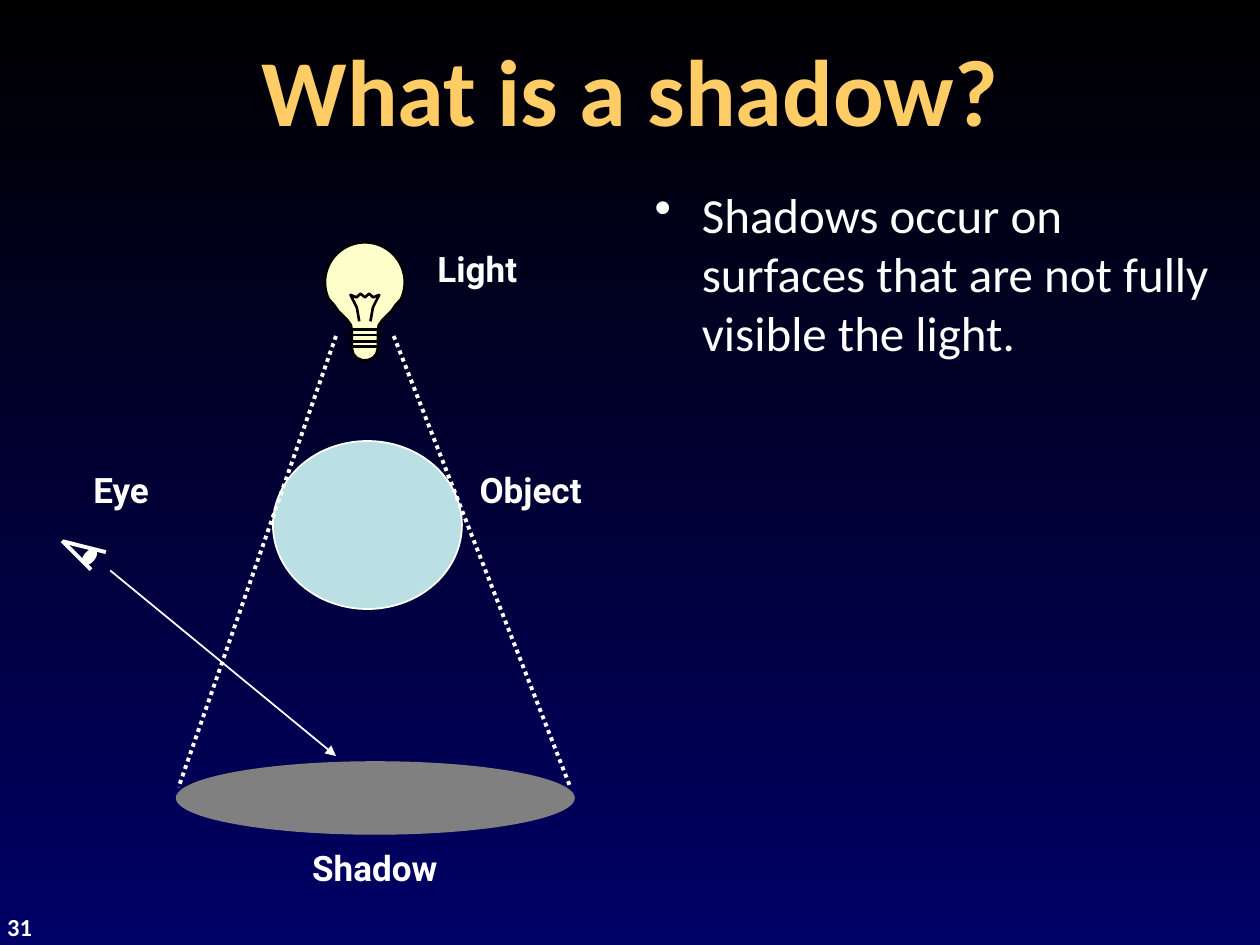
import math
from dataclasses import dataclass
from lxml import etree
from pptx import Presentation
from pptx import util as u
from pptx.dml.color import RGBColor as Rgb
from pptx.enum import dml, shapes, text
from pptx.oxml.ns import qn

Pt = u.Pt
Spot = tuple[float, float]


@dataclass(frozen=True)
class Theme:
    top: str = "000000"
    base: str = "000066"
    gold: str = "FFCC66"
    white: str = "FFFFFF"
    black: str = "000000"
    glow: str = "FFFFCC"
    ball: str = "BBE0E3"
    gray: str = "808080"
    face: str = "Calibri"
    tag: str = "Roboto"
    title: float = 54
    body: float = 28
    label: float = 20
    page: float = 14
    thin: float = 1
    edge: float = 1.5
    thick: float = 2.25


@dataclass(frozen=True)
class Box:
    left: float
    top: float
    width: float
    height: float

    def points(self) -> list[int]:
        return [Pt(v) for v in (self.left, self.top, self.width, self.height)]


@dataclass(frozen=True)
class Note:
    words: str
    box: Box
    size: float
    face: str
    color: str = Theme.white
    bold: bool = True
    wrap: bool = True
    align: text.PP_ALIGN = text.PP_ALIGN.CENTER
    anchor: text.MSO_ANCHOR = text.MSO_ANCHOR.TOP
    bullet: bool = False


@dataclass(frozen=True)
class Ray:
    start: Spot
    end: Spot
    width: float
    dotted: bool = False
    arrow: bool = False


@dataclass(frozen=True)
class Oval:
    box: Box
    fill: str
    line: float = 0
    turn: float = 0


T = Theme()
LEFT = text.PP_ALIGN.LEFT


def label(words: str, left: float, top: float, width: float) -> Note:
    return Note(words, Box(left, top, width, 31), T.label, T.tag, wrap=False)


NOTES = [
    Note("31", Box(-3, 517.5, 47.5, 24), T.page, T.face, align=LEFT),
    Note("What is a shadow?", Box(12, 12, 696, 78), T.title, T.face, T.gold,
         anchor=text.MSO_ANCHOR.MIDDLE),
    Note("Shadows occur on surfaces that are not fully visible the light.",
         Box(367, 102, 341, 405), T.body, T.face, bold=False, align=LEFT,
         bullet=True),
    label("Light", 240, 138, 65.5),
    label("Object", 263, 264, 80.5),
    label("Shadow", 167, 480, 94.5),
    label("Eye", 44, 264, 50.5),
]
BALL = Oval(Box(156, 252, 108, 96), T.ball, T.thin)
SHADE = Oval(Box(100.5, 435, 228, 42), T.gray)
PUPIL = Oval(Box(49, 314, 4.3, 8.6), T.white, T.thick, 41.2)
BEAMS = [
    Ray((192, 192), (102, 450), T.thick, dotted=True),
    Ray((225, 192), (326, 450), T.thick, dotted=True),
]
LIDS = [
    Ray((36.5, 309.5), (60.5, 315.5), T.thick),
    Ray((35.5, 309), (52, 325.5), T.thick),
]
SIGHT = Ray((63, 326), (192, 432), T.thin, arrow=True)

BULB: Spot = (208.5, 161.3)
GLASS = 22.8
NECK = [(17.6, 13), (15.1, 16.6), (10.1, 21.6), (8, 24.5), (7.5, 27),
        (7.5, 37.5), (6.6, 41), (4.7, 43.2), (1.5, 44.6)]
WIRE = [(0, 8.6), (2.5, 6.5), (4.7, 8.6), (8.2, 7.2), (4.6, 14.4),
        (3.2, 22.3)]
RINGS = [27, 30.2, 33.8, 36.7]


def write(pool, note: Note) -> None:
    frame = pool.add_textbox(*note.box.points()).text_frame
    frame.word_wrap = note.wrap
    frame.vertical_anchor = note.anchor
    para = frame.paragraphs[0]
    para.text = note.words
    para.alignment = note.align
    if note.bullet:
        props = para._p.get_or_add_pPr()
        props.set("marL", str(Pt(27)))
        props.set("indent", str(-Pt(27)))
        etree.SubElement(props, qn("a:buChar")).set("char", "•")
    font = para.font
    font.name, font.size, font.bold = note.face, Pt(note.size), note.bold
    font.color.rgb = Rgb.from_string(note.color)


def trace(pool, ray: Ray) -> None:
    ends = [Pt(v) for v in ray.start + ray.end]
    link = pool.add_connector(shapes.MSO_CONNECTOR.STRAIGHT, *ends)
    link.line.width = Pt(ray.width)
    link.line.color.rgb = Rgb.from_string(T.white)
    if ray.dotted:
        link.line.dash_style = dml.MSO_LINE.ROUND_DOT
    if ray.arrow:
        head = etree.SubElement(link.line._get_or_add_ln(), qn("a:tailEnd"))
        head.set("type", "triangle")
    etree.SubElement(link._element.spPr, qn("a:effectLst"))


def paint(shape, fill: str | None, line: str, width: float) -> None:
    shape.shadow.inherit = False
    if fill:
        shape.fill.solid()
        shape.fill.fore_color.rgb = Rgb.from_string(fill)
    else:
        shape.fill.background()
    if width:
        shape.line.width = Pt(width)
        shape.line.color.rgb = Rgb.from_string(line)
    else:
        shape.line.fill.background()


def disc(pool, oval: Oval) -> None:
    shape = pool.add_shape(shapes.MSO_SHAPE.OVAL, *oval.box.points())
    shape.rotation = oval.turn
    paint(shape, oval.fill, T.white, oval.line)


def place(spot: Spot) -> tuple[int, int]:
    return Pt(BULB[0] + spot[0]), Pt(BULB[1] + spot[1])


def mirror(half: list[Spot]) -> list[Spot]:
    return [(-x, y) for x, y in reversed(half)] + half


def draw(pool, runs: list[list[Spot]], fill: str | None) -> None:
    pen = pool.build_freeform(*place(runs[0][0]))
    for run in runs:
        pen.move_to(*place(run[0]))
        pen.add_line_segments([place(s) for s in run[1:]], close=bool(fill))
    paint(pen.convert_to_shape(), fill, T.black, T.edge)


def bulb(pool) -> None:
    turns = [math.radians(a) for a in range(-90, 26, 5)]
    dome = [(GLASS * math.cos(a), GLASS * math.sin(a)) for a in turns]
    draw(pool, [mirror(dome + NECK)], T.glow)
    bands = [[(-7.5, y), (7.5, y)] for y in RINGS]
    draw(pool, [mirror(WIRE)] + bands, None)


def main() -> None:
    deck = Presentation()
    deck.slide_width, deck.slide_height = Pt(720), Pt(540)
    slide = deck.slides.add_slide(deck.slide_layouts[6])
    back = slide.background.fill
    back.gradient()
    back.gradient_angle = 270
    for stop, color in zip(back.gradient_stops, (T.top, T.base)):
        stop.color.rgb = Rgb.from_string(color)
    pool = slide.shapes
    bulb(pool)
    disc(pool, BALL)
    for beam in BEAMS:
        trace(pool, beam)
    disc(pool, SHADE)
    eye = pool.add_group_shape().shapes
    disc(eye, PUPIL)
    for lid in LIDS:
        trace(eye, lid)
    trace(pool, SIGHT)
    for note in NOTES:
        write(pool, note)
    deck.save("out.pptx")


if __name__ == "__main__":
    main()
